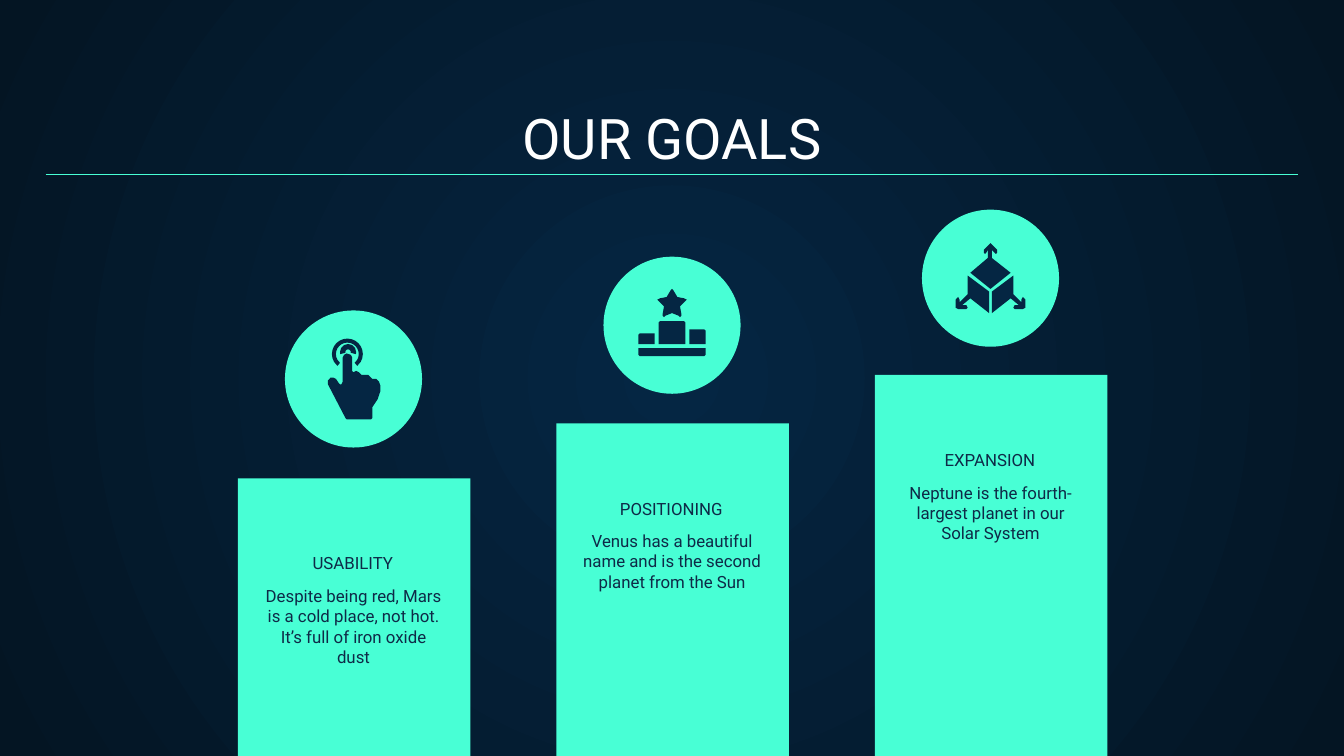
from dataclasses import dataclass

import pptx
import pptx.dml.color
import pptx.enum.dml
import pptx.enum.shapes
import pptx.enum.text
import pptx.oxml.ns
import pptx.shapes.base
import pptx.slide
import pptx.util
from lxml import etree

EMU_PER_PX = 9144  # 100 px to the inch
SLIDE_WIDTH = 1000

MINT = pptx.dml.color.RGBColor(0x48, 0xFF, 0xD5)
NAVY = pptx.dml.color.RGBColor(0x05, 0x26, 0x43)
MIDNIGHT = pptx.dml.color.RGBColor(0x04, 0x15, 0x23)
INK = pptx.dml.color.RGBColor(0x0E, 0x2A, 0x47)
WHITE = pptx.dml.color.RGBColor(0xFF, 0xFF, 0xFF)

FONT = "Roboto"
BAR_LEFT, BAR_PITCH, BAR_WIDTH, BAR_BOTTOM = 177, 237, 173, 566
CIRCLE_SIZE = 102
COMPARISON_LAYOUT = 4

Shape = pptx.enum.shapes.MSO_SHAPE
Anchor = pptx.enum.text.MSO_ANCHOR
Points = list[tuple[int, int]]


@dataclass
class Goal:
    heading: str
    description: str
    bar_top: int
    circle_top: int
    heading_top: int
    outlines: list[Points]


@dataclass
class TouchArc:
    left: int
    top: int
    size: int
    start_degrees: int
    end_degrees: int
    thickness: float


HAND = [(258, 263), (256, 264), (255, 266), (255, 284), (254, 286), (253, 286),
        (252, 285), (250, 282), (248, 281), (246, 281), (244, 283), (244, 286),
        (257, 311), (258, 312), (276, 312), (277, 311), (277, 303), (281, 297),
        (283, 291), (283, 287), (282, 284), (280, 282), (277, 282), (276, 281),
        (274, 279), (272, 279), (269, 279), (267, 277), (265, 276), (263, 277),
        (262, 276), (262, 266), (261, 264)]

STAR = [(500, 215), (499, 216), (496, 221), (491, 222), (489, 223), (490, 224),
        (494, 228), (493, 234), (493, 235), (494, 236), (495, 235), (500, 233),
        (505, 235), (506, 236), (507, 235), (507, 234), (506, 228), (510, 224),
        (511, 223), (509, 222), (504, 221), (501, 216)]
PODIUM = [
    [(491, 239), (490, 240), (490, 256), (510, 256), (510, 240), (509, 239)],
    [(476, 248), (475, 249), (475, 256), (487, 256), (487, 248)],
    [(513, 245), (513, 256), (525, 256), (525, 246), (524, 245)],
    [(475, 259), (475, 264), (476, 265), (524, 265), (525, 264), (525, 259)],
]

CUBE_MIDDLE = 737
CUBE_RIGHT = [(754, 205), (738, 217), (738, 233), (752, 222), (758, 227),
              (755, 227), (754, 229), (755, 230), (761, 230), (763, 229),
              (763, 223), (761, 221), (760, 223), (760, 225), (754, 219)]
CUBE_LEFT = [(2 * CUBE_MIDDLE - x, y) for x, y in CUBE_RIGHT]
CUBE_TOP = [(737, 181), (736, 182), (732, 186), (732, 188), (733, 189), (734, 188),
            (735, 186), (735, 192), (722, 203), (737, 215), (752, 203), (738, 192),
            (738, 186), (740, 188), (741, 189), (742, 188), (742, 186), (738, 182)]

GOALS = [
    Goal("USABILITY", "Despite being red, Mars is a cold place, not hot. "
         "It’s full of iron oxide dust", 356, 231, 415, [HAND]),
    Goal("POSITIONING", "Venus has a beautiful name and is the second planet "
         "from the Sun", 315, 191, 375, [STAR, *PODIUM]),
    Goal("EXPANSION", "Neptune is the fourth-largest planet in our Solar System",
         279, 156, 339, [CUBE_RIGHT, CUBE_LEFT, CUBE_TOP]),
]
TOUCH_ARCS = [TouchArc(247, 252, 23, 130, 50, 0.13),
              TouchArc(253, 256, 12, 165, 15, 0.33)]


def px(length: int) -> pptx.util.Emu:
    return pptx.util.Emu(length * EMU_PER_PX)


def paint(shape: pptx.shapes.base.BaseShape, color: pptx.dml.color.RGBColor) -> None:
    shape.shadow.inherit = False
    shape.fill.solid()
    shape.fill.fore_color.rgb = color
    shape.line.fill.background()


def draw_outline(slide: pptx.slide.Slide, points: Points) -> None:
    builder = slide.shapes.build_freeform(*points[0], scale=EMU_PER_PX)
    builder.add_line_segments(points[1:], close=True)
    paint(builder.convert_to_shape(), NAVY)


def draw_arc(slide: pptx.slide.Slide, arc: TouchArc) -> None:
    shape = slide.shapes.add_shape(
        Shape.BLOCK_ARC, px(arc.left), px(arc.top), px(arc.size), px(arc.size))
    shape.adjustments[0] = arc.start_degrees * 0.6
    shape.adjustments[1] = arc.end_degrees * 0.6
    shape.adjustments[2] = arc.thickness
    paint(shape, NAVY)


def write_text(shape: pptx.shapes.base.BaseShape, box: tuple[int, int, int, int],
               text: str, size: int, color: pptx.dml.color.RGBColor,
               anchor: pptx.enum.text.MSO_ANCHOR) -> None:
    """Place a text shape in front of the rest and fill it with one centred run."""
    shape.left, shape.top, shape.width, shape.height = map(px, box)
    shape.element.getparent().append(shape.element)
    frame = shape.text_frame
    frame.auto_size = pptx.enum.text.MSO_AUTO_SIZE.NONE
    frame.word_wrap = True
    frame.vertical_anchor = anchor
    frame.margin_left = frame.margin_right = px(10)
    frame.margin_top = frame.margin_bottom = px(10)
    paragraph = frame.paragraphs[0]
    paragraph.alignment = pptx.enum.text.PP_ALIGN.CENTER
    paragraph.line_spacing = 1.0
    paragraph.space_before = pptx.util.Pt(0)
    properties = paragraph._p.get_or_add_pPr()
    properties.set("marL", "0")
    properties.set("indent", "0")
    etree.SubElement(properties, pptx.oxml.ns.qn("a:buNone"))
    run = paragraph.add_run()
    run.text = text
    run.font.name = FONT
    run.font.size = pptx.util.Pt(size)
    run.font.bold = False
    run.font.color.rgb = color


def paint_background(slide: pptx.slide.Slide) -> None:
    fill = slide.background.fill
    fill.gradient()
    for stop, color in zip(fill.gradient_stops, (NAVY, MIDNIGHT)):
        stop.color.rgb = color
    gradient = slide.element.find(".//" + pptx.oxml.ns.qn("a:gradFill"))
    gradient.remove(gradient.find(pptx.oxml.ns.qn("a:lin")))
    circle = etree.SubElement(gradient, pptx.oxml.ns.qn("a:path"), {"path": "circle"})
    etree.SubElement(circle, pptx.oxml.ns.qn("a:fillToRect"),
                     {side: "50000" for side in "ltrb"})


def draw_goal(slide: pptx.slide.Slide, index: int, goal: Goal) -> None:
    left, top = BAR_LEFT + index * BAR_PITCH, goal.bar_top
    bar = slide.shapes.add_shape(
        Shape.RECTANGLE, px(left), px(top), px(BAR_WIDTH), px(BAR_BOTTOM - top))
    paint(bar, MINT)
    circle = slide.shapes.add_shape(
        Shape.OVAL, px(left + 35), px(goal.circle_top), px(CIRCLE_SIZE), px(CIRCLE_SIZE))
    paint(circle, MINT)
    for outline in goal.outlines:
        draw_outline(slide, outline)
    heading = slide.shapes.add_textbox(0, 0, 0, 0)
    write_text(heading, (left - 28, goal.heading_top, 227, 21), goal.heading, 9, INK,
               Anchor.BOTTOM)
    write_text(slide.placeholders[index + 1], (left + 9, top + 70, 154, 55),
               goal.description, 9, INK, Anchor.TOP)


def draw_title(slide: pptx.slide.Slide) -> None:
    write_text(slide.shapes.title, (34, 71, 932, 66), "OUR GOALS", 30, WHITE,
               Anchor.BOTTOM)
    rule = slide.shapes.add_connector(
        pptx.enum.shapes.MSO_CONNECTOR.STRAIGHT, px(34), px(130), px(966), px(130))
    rule.line.color.rgb = MINT
    rule.line.width = pptx.util.Pt(0.75)
    etree.SubElement(rule._element.spPr, pptx.oxml.ns.qn("a:effectLst"))


def main() -> None:
    presentation = pptx.Presentation()
    presentation.slide_width = px(SLIDE_WIDTH)
    presentation.slide_height = px(SLIDE_WIDTH) * 9 // 16
    slide = presentation.slides.add_slide(presentation.slide_layouts[COMPARISON_LAYOUT])
    paint_background(slide)
    draw_title(slide)
    for index, goal in enumerate(GOALS):
        draw_goal(slide, index, goal)
    for arc in TOUCH_ARCS:
        draw_arc(slide, arc)
    spare = slide.placeholders[4].element
    spare.getparent().remove(spare)
    presentation.save("out.pptx")


if __name__ == "__main__":
    main()
